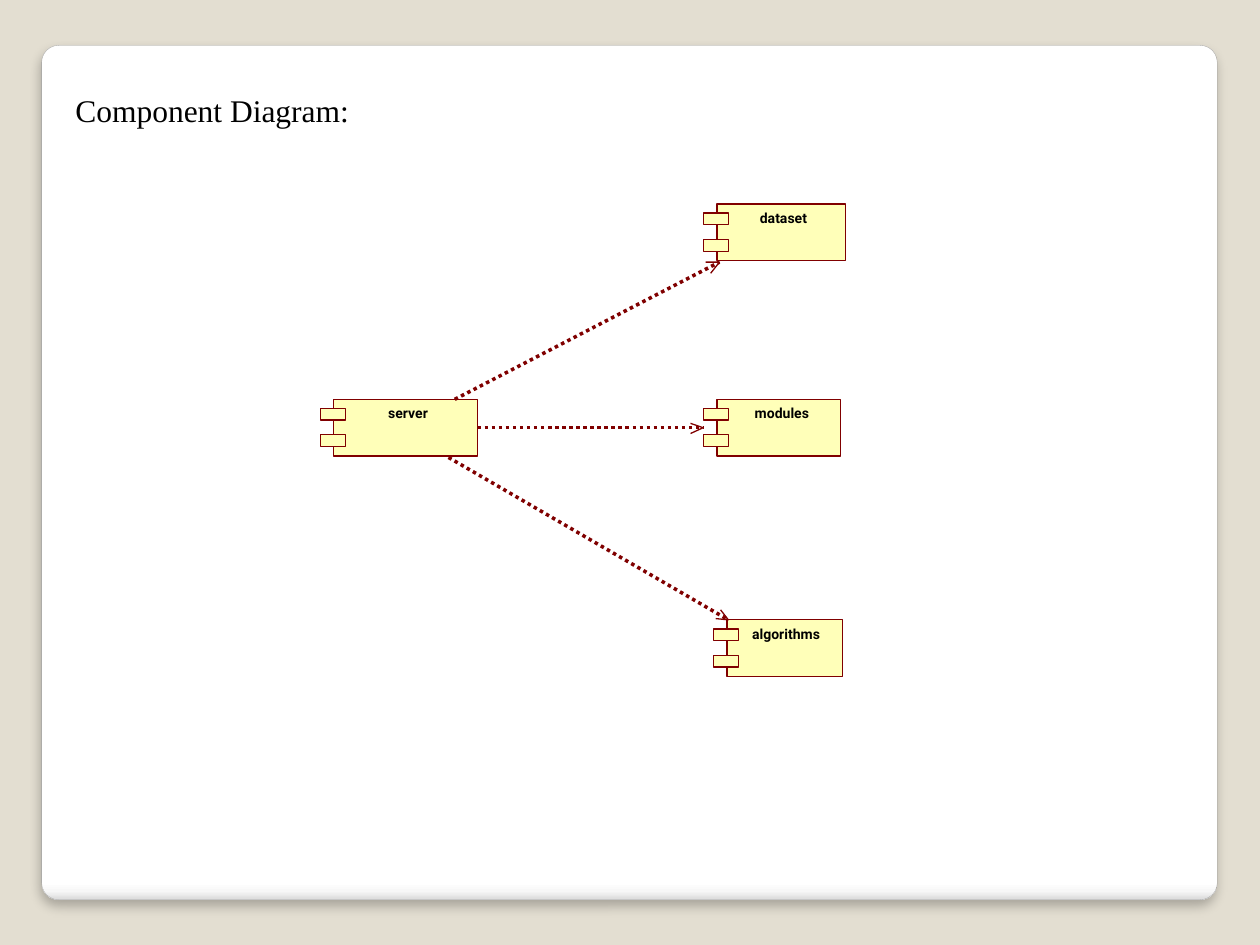
import pptx
import pptx.dml.color
import pptx.enum.dml
import pptx.enum.shapes
import pptx.enum.text
import pptx.oxml
import pptx.oxml.ns
import pptx.util

Pt = pptx.util.Pt
SHAPES = pptx.enum.shapes.MSO_SHAPE
INK = "000000"
CREAM = "FFFFB9"
MAROON = "800000"
BODY_HEIGHT = 32.4
COMPONENTS = [
    ("server", 190.8, 228.2, 82.1, 221.8, 26.6),
    ("dataset", 409.7, 116.6, 73.4, 434.2, 33.1),
    ("modules", 409.7, 228.2, 70.6, 431.3, 36),
    ("algorithms", 415.4, 354.2, 66.2, 429.8, 46.1),
]
DEPENDENCIES = [
    ((259.9, 228.2), (411.1, 149.8), (406.1, 156.2), (403.2, 149.8)),
    ((272.9, 244.4), (401.8, 244.4), (394.6, 247.7), (394.6, 241.9)),
    ((256.3, 261.4), (416.2, 354.2), (409, 353.5), (411.8, 348.5)),
]


def color(value):
    return pptx.dml.color.RGBColor.from_string(value)


def drawing_xml(markup):
    namespace = pptx.oxml.ns.nsdecls("a")
    return pptx.oxml.parse_xml(markup.replace(">", f" {namespace}>", 1))


def style_line(shape, line_color, width=0):
    shape.line.color.rgb = color(line_color)
    shape.line.width = Pt(width)


def add_box(page, kind, left, top, width, height, fill=CREAM, line=MAROON, line_width=0):
    box = page.shapes.add_shape(kind, Pt(left), Pt(top), Pt(width), Pt(height))
    box.shadow.inherit = False
    box.fill.solid()
    box.fill.fore_color.rgb = color(fill)
    style_line(box, line, line_width)
    return box


def add_text(page, text, left, top, width, height, size, font, bold=False, margin=None, wrap=True):
    box = page.shapes.add_textbox(Pt(left), Pt(top), Pt(width), Pt(height))
    frame = box.text_frame
    frame.word_wrap = wrap
    frame.auto_size = pptx.enum.text.MSO_AUTO_SIZE.SHAPE_TO_FIT_TEXT
    if margin is not None:
        frame.margin_left = frame.margin_right = Pt(margin)
        frame.margin_top = frame.margin_bottom = Pt(margin)
    span = frame.paragraphs[0].add_run()
    span.text = text
    span.font.size = Pt(size)
    span.font.name = font
    span.font.bold = bold
    span.font.color.rgb = color(INK)


def add_panel(page):
    panel = add_box(page, SHAPES.ROUNDED_RECTANGLE, 23.8, 25.9, 671.8, 488.2,
                    fill="FFFFFF", line="A4A4A4", line_width=0.16)
    panel.adjustments[0] = 0.02
    stops = [(0, "FFFFFF"), (98, "FFFFFF"), (99, "F7F7F7"), (100, "DADADA")]
    stop_markup = "".join(
        f'<a:gs pos="{percent * 1000}"><a:srgbClr val="{value}"/></a:gs>'
        for percent, value in stops
    )
    properties = panel._element.spPr
    solid = properties.find(pptx.oxml.ns.qn("a:solidFill"))
    properties.replace(solid, drawing_xml(
        f'<a:gradFill><a:gsLst>{stop_markup}</a:gsLst><a:lin ang="5400000" scaled="0"/></a:gradFill>'
    ))
    effects = properties.find(pptx.oxml.ns.qn("a:effectLst"))
    effects.append(drawing_xml(
        f'<a:outerShdw blurRad="{Pt(6)}" dist="{Pt(4)}" dir="5400000" rotWithShape="0">'
        '<a:srgbClr val="000000"><a:alpha val="25000"/></a:srgbClr></a:outerShdw>'
    ))


def add_component(page, name, left, top, width, label_left, label_width):
    body = add_box(page, SHAPES.RECTANGLE, left, top, width, BODY_HEIGHT)
    for drop in (5.2, 20.3):
        add_box(page, SHAPES.RECTANGLE, left - 7.7, top + drop, 14.4, 6.7)
    add_text(page, name, label_left, top + 3, label_width, 10.1,
             size=8, font="Roboto", bold=True, margin=0, wrap=False)
    return body


def add_dependency(page, start, tip, first_barb, second_barb):
    line = page.shapes.add_connector(
        pptx.enum.shapes.MSO_CONNECTOR.STRAIGHT, *(Pt(value) for value in start + tip)
    )
    style_line(line, MAROON)
    line.line.dash_style = pptx.enum.dml.MSO_LINE.ROUND_DOT
    line._element.spPr.append(drawing_xml("<a:effectLst></a:effectLst>"))

    barbs = [(Pt(x), Pt(y)) for x, y in (first_barb, tip, second_barb)]
    builder = page.shapes.build_freeform(*barbs[0])
    builder.add_line_segments(barbs[1:], close=False)
    head = builder.convert_to_shape()
    head.shadow.inherit = False
    head.fill.background()
    style_line(head, MAROON)
    return line


def main():
    deck = pptx.Presentation()
    deck.slide_width, deck.slide_height = Pt(720), Pt(540)
    page = deck.slides.add_slide(deck.slide_layouts[6])
    page.background.fill.solid()
    page.background.fill.fore_color.rgb = color("E3DED1")
    add_panel(page)
    add_text(page, "Component Diagram:", 36, 48.2, 653.8, 51.1,
             size=18, font="Times New Roman")
    bodies = [add_component(page, *component) for component in COMPONENTS]
    lines = [add_dependency(page, *dependency) for dependency in DEPENDENCIES]
    lines[1].begin_connect(bodies[0], 3)
    deck.save("out.pptx")


if __name__ == "__main__":
    main()
